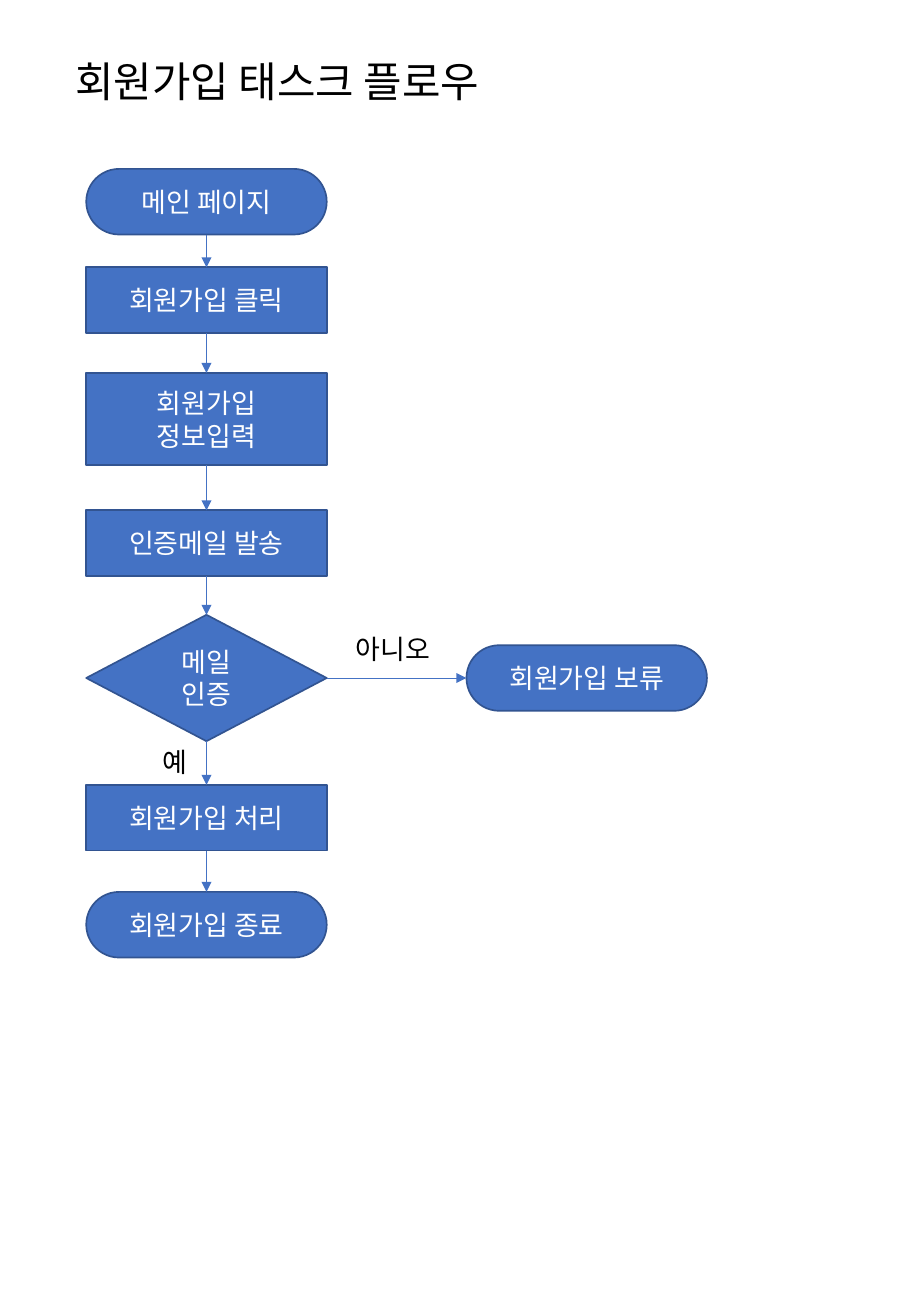
from pptx import Presentation
from pptx.dml.color import RGBColor
from pptx.enum.shapes import MSO_CONNECTOR as Link, MSO_SHAPE as Kind
from pptx.enum.text import MSO_ANCHOR as Anchor, MSO_AUTO_SIZE as Fit, PP_ALIGN as Align
from pptx.oxml.ns import qn
from pptx.util import Inches, Pt
from lxml.etree import SubElement

FONT = "Noto Sans CJK KR"
COLORS = {"fill": "4472C4", "edge": "325491", "light": "FFFFFF", "dark": "000000"}
HUES = {name: RGBColor.from_string(code) for name, code in COLORS.items()}

deck = Presentation()
deck.slide_width, deck.slide_height = Inches(7.5), Inches(10.83)
slide = deck.slides.add_slide(deck.slide_layouts[5])
shapes = slide.shapes


def write(frame, lines, size, hue, align):
    for row, line in enumerate(lines):
        para = frame.add_paragraph() if row else frame.paragraphs[0]
        para.alignment = align
        run = para.add_run()
        run.text = line
        run.font.name, run.font.size = FONT, Pt(size)
        run.font.color.rgb = HUES[hue]
        SubElement(run.font._element, qn("a:ea"), typeface=FONT)


def join(start, site, stop, goal):
    arrow = shapes.add_connector(Link.STRAIGHT, 0, 0, 0, 0)
    arrow.begin_connect(start, site)
    arrow.end_connect(stop, goal)
    arrow.line.color.rgb = HUES["fill"]
    arrow.line.width = Pt(0.5)
    SubElement(arrow.line._get_or_add_ln(), qn("a:tailEnd"), type="triangle")
    SubElement(arrow._element.spPr, qn("a:effectLst"))


title = shapes.title
title.left, title.top = Inches(0.52), Inches(0.3)
title.width, title.height = Inches(6.47), Inches(0.78)
frame = title.text_frame
frame.auto_size, frame.vertical_anchor = Fit.NONE, Anchor.MIDDLE
write(frame, ["회원가입 태스크 플로우"], 24.8, "dark", Align.LEFT)
frame.paragraphs[0].line_spacing = 0.9

LEFT, WIDTH = 0.71, 1.98
PILL, BOX, TEST = Kind.ROUNDED_RECTANGLE, Kind.RECTANGLE, Kind.FLOWCHART_DECISION
steps = [
    ("main", PILL, LEFT, 1.39, 0.54, ["메인 페이지"]),
    ("click", BOX, LEFT, 2.2, 0.54, ["회원가입 클릭"]),
    ("input", BOX, LEFT, 3.07, 0.76, ["회원가입", "정보입력"]),
    ("send", BOX, LEFT, 4.2, 0.54, ["인증메일 발송"]),
    ("check", TEST, LEFT, 5.06, 1.04, ["메일", "인증"]),
    ("join", BOX, LEFT, 6.46, 0.54, ["회원가입 처리"]),
    ("end", PILL, LEFT, 7.34, 0.54, ["회원가입 종료"]),
    ("hold", PILL, 3.84, 5.31, 0.54, ["회원가입 보류"]),
]
nodes = {}
for name, kind, left, top, height, lines in steps:
    node = shapes.add_shape(kind, Inches(left), Inches(top), Inches(WIDTH), Inches(height))
    node.shadow.inherit = False
    node.fill.solid()
    node.fill.fore_color.rgb = HUES["fill"]
    node.line.color.rgb = HUES["edge"]
    node.line.width = Pt(1)
    if kind == PILL:
        node.adjustments[0] = 0.5
    node.text_frame.vertical_anchor = Anchor.MIDDLE
    write(node.text_frame, lines, 16, "light", Align.CENTER)
    nodes[name] = node

chain = [node for name, node in nodes.items() if name != "hold"]
for start, stop in zip(chain, chain[1:]):
    join(start, 2, stop, 0)
join(nodes["check"], 3, nodes["hold"], 1)

for word, left, top, width in [("예", 1.24, 6.09, 0.43), ("아니오", 2.83, 5.16, 0.88)]:
    label = shapes.add_textbox(Inches(left), Inches(top), Inches(width), Inches(0.37))
    label.text_frame.word_wrap = False
    label.text_frame.auto_size = Fit.SHAPE_TO_FIT_TEXT
    write(label.text_frame, [word], 16, "dark", Align.LEFT)

deck.save("out.pptx")
